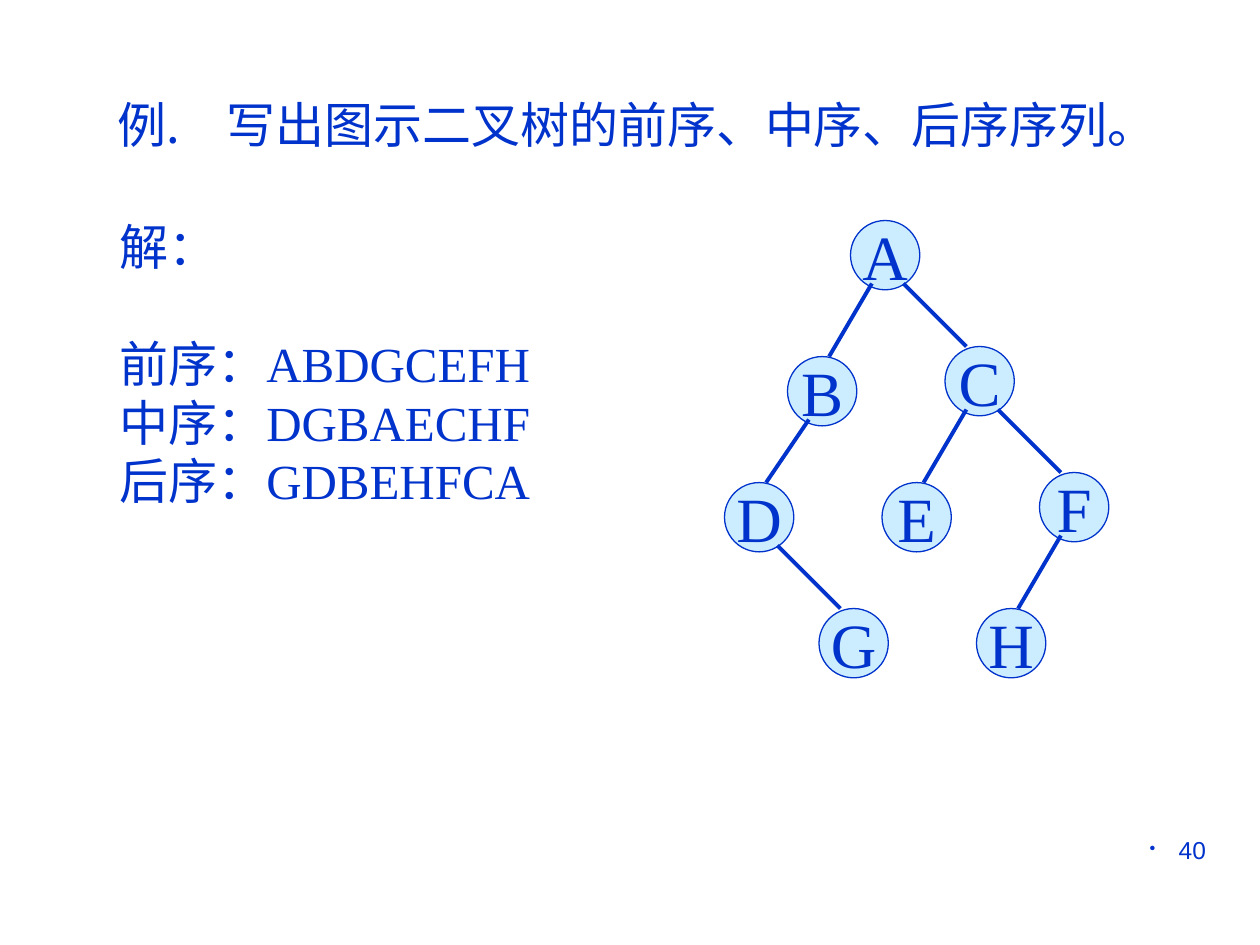
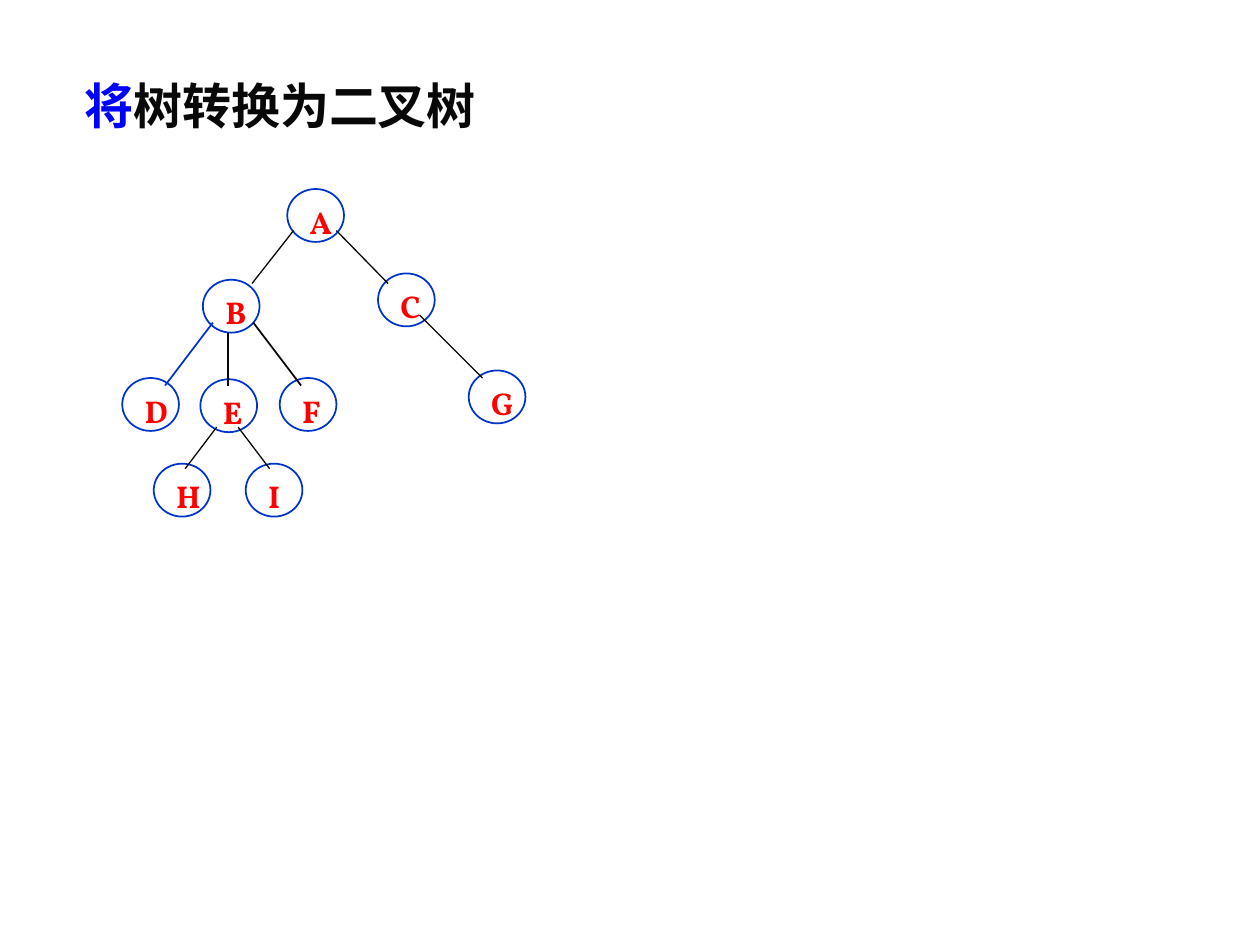
import pptx
import pptx.util
import pptx.dml.color
import pptx.enum.shapes
import pptx.enum.text
import pptx.oxml.ns
from lxml import etree

Inches = pptx.util.Inches
Pt = pptx.util.Pt
ALIGN = pptx.enum.text.PP_ALIGN
ANCHOR = pptx.enum.text.MSO_ANCHOR

COLORS = {"blue": "0033CC", "pale": "CCECFF", "red": "FF0000", "bright": "0000FF", "ink": "080808"}
FONTS = {"title": "Noto Sans CJK SC", "body": "Times New Roman", "letter": "Vollkorn", "number": "Arial"}

EXERCISE_TITLE = [("例.\t写出图示二叉树的前序、中序、后序序列。", "blue")]
ANSWERS = ["解：", "前序：ABDGCEFH", "中序：DGBAECHF", "后序：GDBEHFCA"]
PAGE_NUMBER = "40"
BINARY_NODES = {
    "A": (6.75, 1.75), "B": (6.25, 2.83), "C": (7.5, 2.75), "D": (5.75, 3.83),
    "E": (7, 3.83), "F": (8.25, 3.75), "G": (6.5, 4.83), "H": (7.75, 4.83),
}
BINARY_EDGES = ["AB", "AC", "BD", "CE", "CF", "DG", "FH"]
BINARY_SIZE = 0.55

CONVERSION_TITLE = [("将", "bright"), ("树转换为二叉树", "ink")]
TREE_NODES = {
    "A": (2.28, 1.5), "B": (1.61, 2.22), "C": (3, 2.17), "D": (0.97, 3), "E": (1.59, 3.01),
    "F": (2.22, 3), "G": (3.72, 2.94), "H": (1.22, 3.68), "I": (1.95, 3.68),
}
TREE_EDGES = [
    ((2.33, 1.83), (2, 2.25), "ink", 0.75),
    ((2.67, 1.83), (3.08, 2.25), "ink", 0.75),
    ((3.33, 2.5), (3.83, 3), "ink", 0.75),
    ((1.69, 2.56), (1.31, 3.06), "blue", 1),
    ((1.81, 2.64), (1.81, 3.06), "ink", 0.75),
    ((2.01, 2.56), (2.39, 3.06), "ink", 1),
    ((1.72, 3.39), (1.47, 3.72), "ink", 0.75),
    ((1.89, 3.39), (2.14, 3.72), "ink", 0.75),
]


def rgb(color):
    return pptx.dml.color.RGBColor.from_string(COLORS[color])


def format_run(run, font, size, color, bold=False):
    run.font.name = FONTS[font]
    run.font.size = Pt(size)
    run.font.color.rgb = rgb(color)
    run.font.bold = bold


def add_title(slide, box, parts, bold=False, hanging=0):
    title = slide.shapes.title
    title.left, title.top, title.width, title.height = map(Inches, box)
    frame = title.text_frame
    frame.auto_size = pptx.enum.text.MSO_AUTO_SIZE.NONE
    frame.word_wrap = True
    frame.vertical_anchor = ANCHOR.TOP
    frame.margin_top = 0
    paragraph = frame.paragraphs[0]
    paragraph.alignment = ALIGN.LEFT
    properties = paragraph._p.get_or_add_pPr()
    properties.set("marL", str(Inches(hanging)))
    properties.set("indent", str(-Inches(hanging)))
    for text, color in parts:
        run = paragraph.add_run()
        run.text = text
        format_run(run, "title", 28, color, bold)
        east_asian = etree.SubElement(run.font._element, pptx.oxml.ns.qn("a:ea"))
        east_asian.set("typeface", FONTS["title"])


def add_text(shapes, box, lines, font, size, color, bold=False):
    shape = shapes.add_textbox(*map(Inches, box))
    shape.text_frame.word_wrap = True
    shape.text_frame.text = "\n".join(lines)
    for paragraph in shape.text_frame.paragraphs:
        format_run(paragraph.runs[0], font, size, color, bold)
    return shape.text_frame


def add_circle(shapes, position, width, height, line_width, fill=None):
    circle = shapes.add_shape(
        pptx.enum.shapes.MSO_SHAPE.OVAL, *map(Inches, (*position, width, height)))
    circle.shadow.inherit = False
    if fill:
        circle.fill.solid()
        circle.fill.fore_color.rgb = rgb(fill)
    else:
        circle.fill.background()
    circle.line.color.rgb = rgb("blue")
    circle.line.width = Pt(line_width)
    return circle


def add_edge(shapes, start, end, color, width):
    edge = shapes.add_connector(
        pptx.enum.shapes.MSO_CONNECTOR.STRAIGHT, *map(Inches, (*start, *end)))
    edge.line.color.rgb = rgb(color)
    edge.line.width = Pt(width)
    etree.SubElement(edge._element.spPr, pptx.oxml.ns.qn("a:effectLst"))


def add_page_number(slide):
    frame = add_text(slide.shapes, (7.17, 6.58, 2.5, 0.52), [PAGE_NUMBER], "number", 14, "blue")
    paragraph = frame.paragraphs[0]
    paragraph.alignment = ALIGN.RIGHT
    properties = paragraph._p.get_or_add_pPr()
    properties.set("marL", str(Inches(0.23)))
    properties.set("indent", str(-Inches(0.23)))
    size = etree.SubElement(properties, pptx.oxml.ns.qn("a:buSzPct"))
    size.set("val", "70000")
    bullet = etree.SubElement(properties, pptx.oxml.ns.qn("a:buChar"))
    bullet.set("char", "•")


def add_binary_tree(slide):
    shapes = slide.shapes.add_group_shape().shapes
    for letter, position in BINARY_NODES.items():
        circle = add_circle(shapes, position, BINARY_SIZE, BINARY_SIZE, 0.75, "pale")
        frame = circle.text_frame
        frame.word_wrap = False
        frame.vertical_anchor = ANCHOR.MIDDLE
        frame.text = letter
        frame.paragraphs[0].alignment = ALIGN.CENTER
        format_run(frame.paragraphs[0].runs[0], "body", 36, "blue")
    for parent, child in BINARY_EDGES:
        parent_left, parent_top = BINARY_NODES[parent]
        child_left, child_top = BINARY_NODES[child]
        start_shift, end_shift = (0.17, 0.33) if child_left < parent_left else (0.42, 0.17)
        add_edge(shapes, (parent_left + start_shift, parent_top + 0.5),
                 (child_left + end_shift, child_top), "blue", 2.25)


def add_general_tree(slide):
    shapes = slide.shapes.add_group_shape().shapes
    for letter, (left, top) in TREE_NODES.items():
        add_circle(shapes, (left, top), 0.45, 0.42, 1)
        add_text(shapes, (left + 0.08, top + 0.06, 0.4, 0.4), [letter], "letter", 18, "red", True)
    for edge in TREE_EDGES:
        add_edge(shapes, *edge)


def main():
    presentation = pptx.Presentation()
    presentation.slide_width = Inches(10)
    presentation.slide_height = Inches(7.5)
    title_only = presentation.slide_layouts[5]

    exercise = presentation.slides.add_slide(title_only)
    add_title(exercise, (0.83, 0.75, 8.75, 1.04), EXERCISE_TITLE, hanging=0.87)
    answers = add_text(exercise.shapes, (0.85, 1.67, 3.55, 2.44), ANSWERS, "body", 28, "blue")
    answers.paragraphs[1].space_before = Pt(33)
    add_binary_tree(exercise)
    add_page_number(exercise)

    conversion = presentation.slides.add_slide(title_only)
    add_title(conversion, (0.57, 0.6, 3.5, 0.57), CONVERSION_TITLE, bold=True)
    add_general_tree(conversion)

    presentation.save("out.pptx")


if __name__ == "__main__":
    main()
